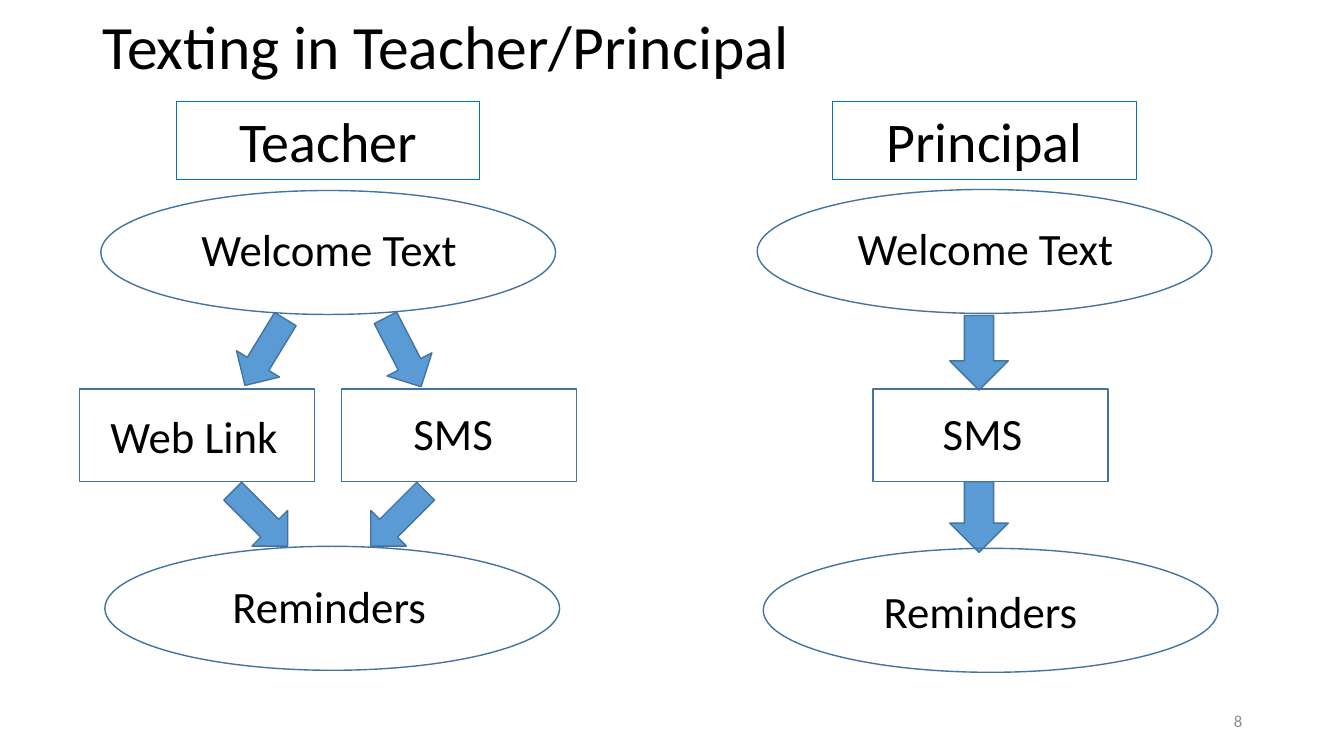
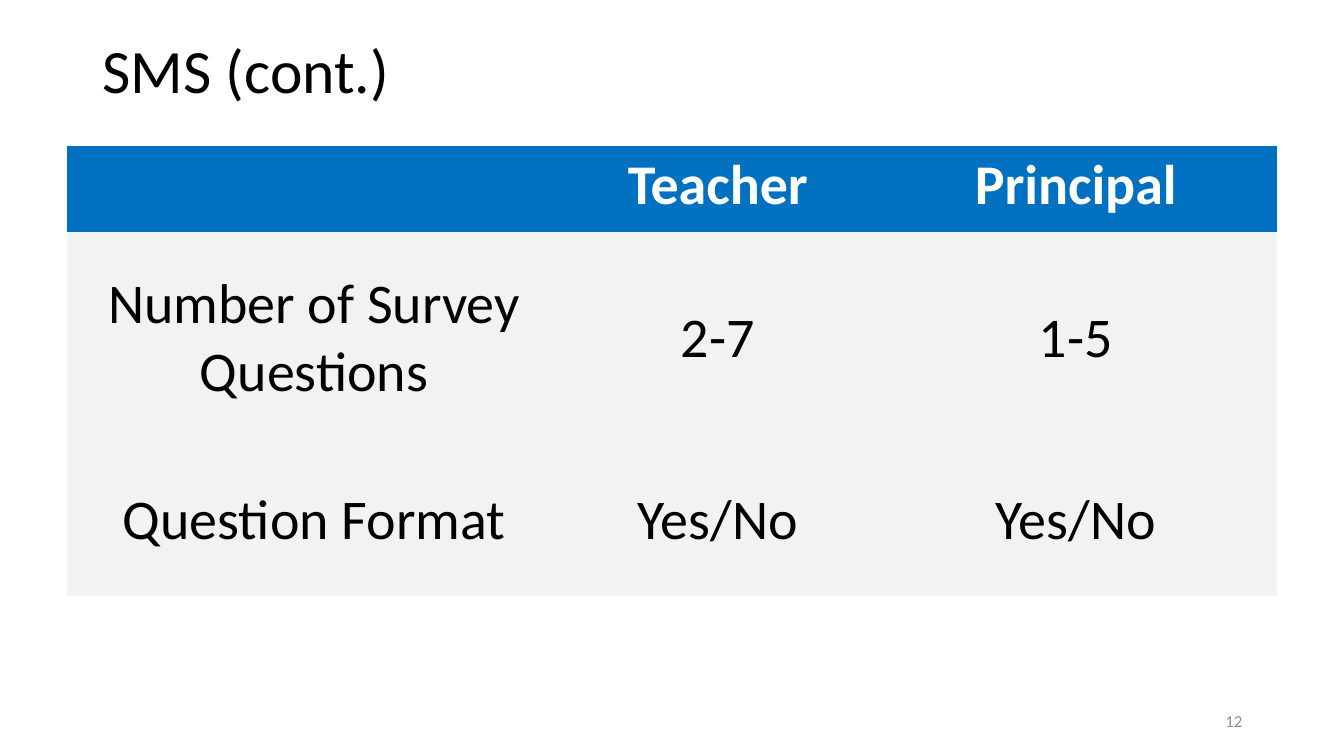
"""Build two slides on texting teachers and principals: a flow chart and a table."""
import pptx
import pptx.dml.color
import pptx.enum.shapes
import pptx.enum.text
import pptx.oxml.ns
import pptx.util

Inches = pptx.util.Inches
Pt = pptx.util.Pt
ALIGN = pptx.enum.text.PP_ALIGN
ANCHOR = pptx.enum.text.MSO_ANCHOR
SHAPE = pptx.enum.shapes.MSO_SHAPE

THEME = {
    "font": "Calibri",
    "text": "000000",
    "inverse": "FFFFFF",
    "number": "8C8C8C",
    "accent": "0070C0",
    "outline": "43739E",
    "arrow": "5B9BD5",
    "cell": "F2F2F2",
    "title_size": 44,
    "heading_size": 40,
    "label_size": 32,
    "number_size": 12,
}
NO_TABLE_STYLE = "{2D5ABB26-0587-4C30-8999-92F81FD0307C}"

FLOW_TITLE = "Texting in Teacher/Principal"
NODE_KINDS = {
    "heading": (SHAPE.RECTANGLE, 3.01, 0.77, "accent", 0.75, "heading_size"),
    "stage": (SHAPE.OVAL, 4.51, 1.23, "outline", 1, "label_size"),
    "channel": (SHAPE.RECTANGLE, 2.33, 0.92, "outline", 1, "label_size"),
}
# kind, text, left, top, horizontal and vertical shift of the text
FLOW = [
    ("heading", "Teacher", 1.75, 1.01, 0, 0),
    ("stage", "Welcome Text", 1, 1.89, 0.01, -0.04),
    ("arrow", 2.38, 3.11, 0.5, 0.77, 31.4),
    ("arrow", 3.75, 3.11, 0.5, 0.77, 332.7),
    ("channel", "Web Link", 0.79, 3.86, -0.03, 0),
    ("channel", "SMS", 3.39, 3.86, -0.06, -0.03),
    ("arrow", 2.33, 4.76, 0.5, 0.77, 315),
    ("arrow", 3.7, 4.76, 0.5, 0.77, 45),
    ("stage", "Reminders", 1.04, 5.42, -0.03, -0.03),
    ("heading", "Principal", 8.26, 1.01, 0, 0),
    ("stage", "Welcome Text", 7.51, 1.88, 0.01, -0.04),
    ("arrow", 9.42, 3.13, 0.58, 0.74, 0),
    ("channel", "SMS", 8.66, 3.86, -0.08, -0.03),
    ("arrow", 9.42, 4.78, 0.58, 0.7, 0),
    ("stage", "Reminders", 7.57, 5.44, -0.1, 0),
]

TABLE_TITLE = "SMS (cont.)"
TABLE_ROWS = [
    ("", "Teacher", "Principal"),
    ("Number of Survey Questions", "2-7", "1-5"),
    ("Question Format", "Yes/No", "Yes/No"),
]
COLUMN_WIDTHS = (4.91, 3.1, 4)
ROW_HEIGHTS = (0.85, 2.12, 1.49)


def color(name):
    return pptx.dml.color.RGBColor.from_string(THEME[name])


def write(text_frame, text, size, ink="text", align=ALIGN.CENTER, bold=False):
    text_frame.text = text
    paragraph = text_frame.paragraphs[0]
    paragraph.alignment = align
    for run in paragraph.runs:
        run.font.name = THEME["font"]
        run.font.size = Pt(THEME[size])
        run.font.color.rgb = color(ink)
        run.font.bold = bold
    return paragraph


def add_text(slide, text, box, size, ink, align):
    text_frame = slide.shapes.add_textbox(*map(Inches, box)).text_frame
    text_frame.word_wrap = True
    text_frame.vertical_anchor = ANCHOR.MIDDLE
    return write(text_frame, text, size, ink, align)


def add_slide(presentation, title, title_box, number):
    slide = presentation.slides.add_slide(presentation.slide_layouts[6])
    paragraph = add_text(slide, title, title_box, "title_size", "text", ALIGN.LEFT)
    paragraph.line_spacing = 0.9
    add_text(slide, number, (9.42, 6.95, 3, 0.4), "number_size", "number", ALIGN.RIGHT)
    return slide


def add_outlined(slide, preset, box, outline, weight):
    shape = slide.shapes.add_shape(preset, *map(Inches, box))
    shape.shadow.inherit = False
    shape.fill.background()
    shape.line.color.rgb = color(outline)
    shape.line.width = Pt(weight)
    return shape


def add_arrow(slide, left, top, width, height, rotation):
    box = (left, top, width, height)
    arrow = add_outlined(slide, SHAPE.DOWN_ARROW, box, "outline", 1)
    arrow.fill.solid()
    arrow.fill.fore_color.rgb = color("arrow")
    arrow.rotation = rotation


def add_node(slide, kind, text, left, top, shift_x, shift_y):
    preset, width, height, outline, weight, size = NODE_KINDS[kind]
    node = add_outlined(slide, preset, (left, top, width, height), outline, weight)
    text_frame = node.text_frame
    text_frame.word_wrap = True
    text_frame.vertical_anchor = ANCHOR.MIDDLE
    text_frame.margin_left = Inches(max(0, 2 * shift_x))
    text_frame.margin_right = Inches(max(0, -2 * shift_x))
    text_frame.margin_top = Inches(max(0, 2 * shift_y))
    text_frame.margin_bottom = Inches(max(0, -2 * shift_y))
    write(text_frame, text, size)


def build_flow(presentation):
    slide = add_slide(presentation, FLOW_TITLE, (0.92, 0.02, 9.63, 0.94), "8")
    for kind, *details in FLOW:
        if kind == "arrow":
            add_arrow(slide, *details)
        else:
            add_node(slide, kind, *details)


def build_table(presentation):
    slide = add_slide(presentation, TABLE_TITLE, (0.92, 0, 11.5, 1.45), "12")
    box = (0.66, 1.45, sum(COLUMN_WIDTHS), sum(ROW_HEIGHTS))
    frame = slide.shapes.add_table(
        len(TABLE_ROWS), len(COLUMN_WIDTHS), *map(Inches, box)
    )
    table = frame.table
    table.horz_banding = False
    for style in frame._element.iter(pptx.oxml.ns.qn("a:tableStyleId")):
        style.text = NO_TABLE_STYLE
    for column, width in zip(table.columns, COLUMN_WIDTHS):
        column.width = Inches(width)
    for row_index, (row, height) in enumerate(zip(table.rows, ROW_HEIGHTS)):
        row.height = Inches(height)
        header = row_index == 0
        for cell, text in zip(row.cells, TABLE_ROWS[row_index]):
            cell.fill.solid()
            cell.fill.fore_color.rgb = color("accent" if header else "cell")
            cell.vertical_anchor = ANCHOR.TOP if header else ANCHOR.MIDDLE
            ink = "inverse" if header else "text"
            write(cell.text_frame, text, "heading_size", ink, bold=header)


def main():
    presentation = pptx.Presentation()
    presentation.slide_width = Inches(13.33)
    presentation.slide_height = Inches(7.5)
    build_flow(presentation)
    build_table(presentation)
    presentation.save("out.pptx")


if __name__ == "__main__":
    main()
